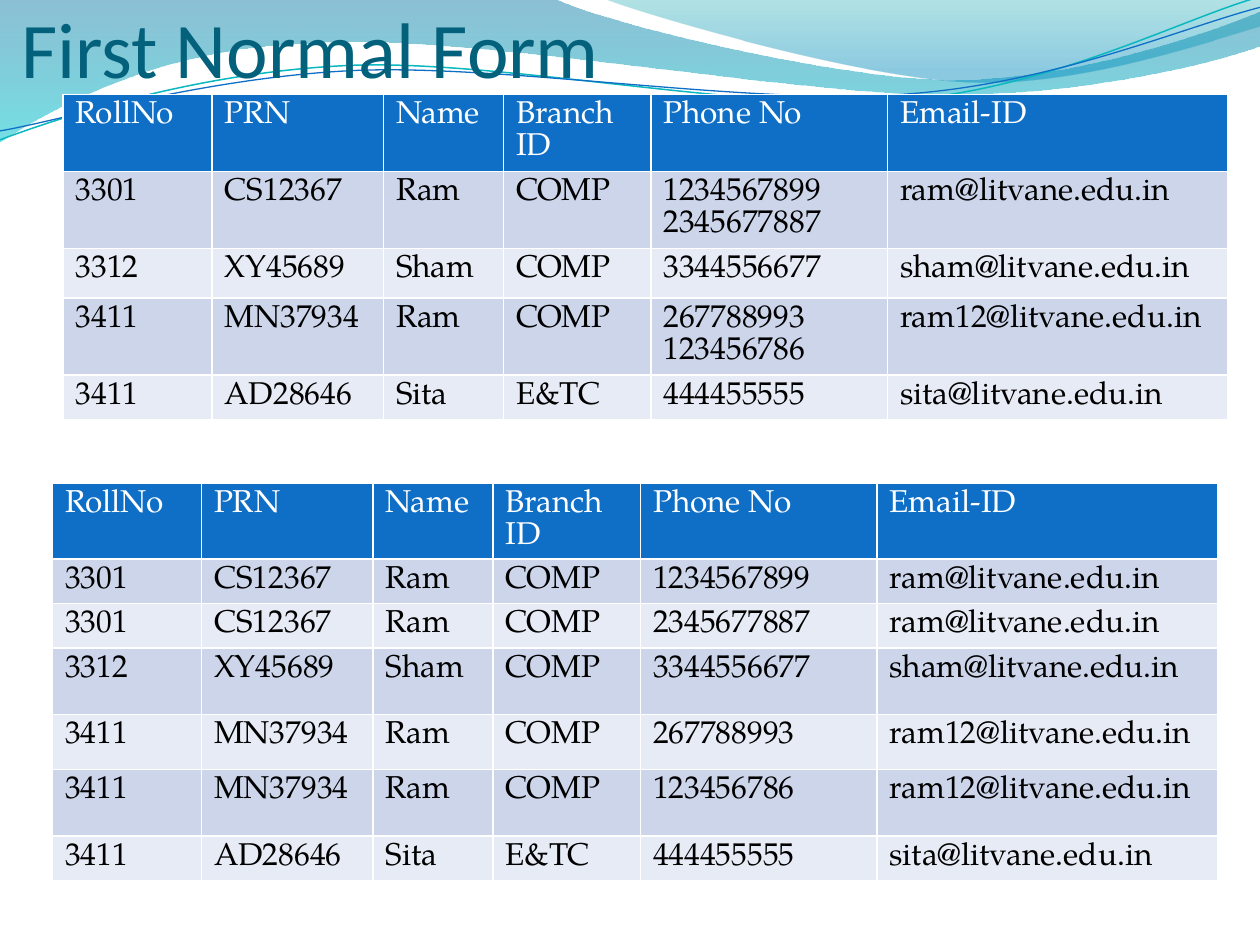
from dataclasses import dataclass

from lxml import etree
from pptx import Presentation
from pptx.dml.color import RGBColor
from pptx.enum import text
from pptx.oxml import ns
from pptx.util import Cm, Pt


@dataclass(frozen=True)
class Theme:
    head: str = "0F6FC6"
    odd: str = "CCD5EA"
    even: str = "E7EBF5"
    white: str = "FFFFFF"
    ink: str = "000000"
    title: str = "04617B"
    teal: str = "0AB8BF"
    title_font: str = "Calibri"
    cell_font: str = "TeX Gyre Pagella"
    title_size: float = 45
    cell_size: float = 18


THEME = Theme()

# Wave outlines in cm: a start, then segments of 2 (line) or 6 (curve) numbers
BROAD = [(0, 0), (11.18, -0.03), (12.09, 0.43, 16.87, 1.6, 19.25, 1.6),
         (21.67, 1.6, 24.33, 0.66, 25.4, 0.23), (25.43, 0.91),
         (24.97, 1.12, 22.1, 1.93, 18.95, 1.9),
         (15.8, 1.9, 9.7, 0.71, 6.53, 0.86),
         (3.28, 0.91, 1.17, 2.11, -0.03, 2.87), (0, 0)]
SMALL = [(12.17, -0.03), (12.93, 0.28, 17.32, 1.57, 19.53, 1.65),
         (21.74, 1.75, 24.41, 0.81, 25.4, 0.53), (25.4, 0), (12.17, -0.03)]
UPPER = [(0, 2.82), (1.22, 2.36, 4.01, 1.45, 7.04, 1.32),
         (10.03, 1.19, 15.06, 2.26, 18.11, 2.03),
         (21.16, 1.8, 23.83, 0.38, 25.35, -0.05)]
LOWER = [(0, 2.64), (1.19, 2.44, 4.17, 1.55, 7.19, 1.42),
         (10.24, 1.3, 15.16, 2.13, 18.21, 1.9),
         (21.23, 1.7, 23.9, 0.53, 25.4, 0.15)]

# Student records; a line break separates several phone numbers
HEADS = ["RollNo", "PRN", "Name", "Branch ID", "Phone No", "Email-ID"]
ROWS = [
    ["3301", "CS12367", "Ram", "COMP", "1234567899\n2345677887", "ram@litvane.edu.in"],
    ["3312", "XY45689", "Sham", "COMP", "3344556677", "sham@litvane.edu.in"],
    ["3411", "MN37934", "Ram", "COMP", "267788993\n123456786", "ram12@litvane.edu.in"],
    ["3411", "AD28646", "Sita", "E&TC", "444455555", "sita@litvane.edu.in"],
]
WIDTHS = [3, 3.46, 2.42, 2.97, 4.77, 6.87]


def rgb(code):
    return RGBColor.from_string(code)


def draw(slide, route, close):
    """Build the outline through all nodes, then bend the curved segments."""
    nodes = [(seg[i] * 1000, seg[i + 1] * 1000)
             for seg in route for i in range(0, len(seg), 2)]
    form = slide.shapes.build_freeform(*nodes[0], scale=Cm(1) / 1000)
    form.add_line_segments(nodes[1:], close=close)
    shape = form.convert_to_shape()
    shape.shadow.inherit = False
    lines = iter(list(shape._element.iter(ns.qn("a:lnTo"))))
    for seg in route[1:]:
        first = next(lines)
        if len(seg) == 6:
            first.tag = ns.qn("a:cubicBezTo")
            for _ in range(2):
                line = next(lines)
                first.append(line[0])
                line.getparent().remove(line)
    return shape


def add_band(slide, route, stops):
    """Closed wave with a see-through gradient from top to bottom."""
    shape = draw(slide, route, True)
    shape.line.fill.background()
    shape.fill.gradient()
    shape.fill.gradient_angle = 270
    for stop, (place, color, _) in zip(shape.fill.gradient_stops, stops):
        stop.position = place
        stop.color.rgb = rgb(color)
    tags = shape._element.iter(ns.qn("a:srgbClr"))
    for tag, (_, _, alpha) in zip(tags, stops):
        etree.SubElement(tag, ns.qn("a:alpha"), val=str(alpha * 1000))


def add_wave(slide, route, color, width):
    shape = draw(slide, route, False)
    shape.fill.background()
    shape.line.color.rgb = rgb(color)
    shape.line.width = Pt(width)


def set_font(font, name, size, color):
    font.name, font.size, font.bold = name, Pt(size), False
    font.color.rgb = rgb(color)


def set_title(slide, words):
    title = slide.shapes.title
    title.left, title.top, title.width, title.height = Cm(0.43), Cm(0.2), Cm(22.86), Cm(1.7)
    frame = title.text_frame
    frame.text = words
    frame.auto_size = text.MSO_AUTO_SIZE.NONE
    frame.vertical_anchor = text.MSO_ANCHOR.BOTTOM
    frame.margin_left = frame.margin_right = frame.margin_bottom = 0
    frame.margin_top = Cm(0.13)
    para = frame.paragraphs[0]
    para.alignment = text.PP_ALIGN.LEFT
    set_font(para.font, THEME.title_font, THEME.title_size, THEME.title)
    # Bring the title in front of the waves
    slide.shapes._spTree.append(title._element)


def fill_cell(cell, words, row):
    cell.text = words
    color = THEME.ink if row else THEME.white
    for para in cell.text_frame.paragraphs:
        set_font(para.font, THEME.cell_font, THEME.cell_size, color)
    cell.fill.solid()
    shade = THEME.odd if row % 2 else THEME.even
    cell.fill.fore_color.rgb = rgb(shade if row else THEME.head)


def add_grid(slide, left, top, heights, rows):
    """Table whose white rules come from the default table style."""
    frame = slide.shapes.add_table(len(rows) + 1, len(HEADS), Cm(left), Cm(top),
                                   Cm(sum(WIDTHS)), Cm(sum(heights)))
    table = frame.table
    for col, width in zip(table.columns, WIDTHS):
        col.width = Cm(width)
    for line, height in zip(table.rows, heights):
        line.height = Cm(height)
    for r, record in enumerate([HEADS, *rows]):
        for c, words in enumerate(record):
            fill_cell(table.cell(r, c), words, r)


def split_phones(rows):
    """First normal form: one row for each phone number."""
    return [[*row[:4], phone, row[5]] for row in rows for phone in row[4].split("\n")]


def main():
    deck = Presentation()
    deck.slide_width, deck.slide_height = Cm(25.4), Cm(19.05)
    slide = deck.slides.add_slide(deck.slide_layouts[5])

    # Wave decoration
    add_band(slide, BROAD, [(0, "0074A1", 45), (1, "00C6CF", 55)])
    add_band(slide, SMALL, [(0, "00A1A9", 30), (0.8, "008BBF", 45)])
    add_wave(slide, UPPER, THEME.teal, 0.85)
    add_wave(slide, LOWER, THEME.head, 0.75)

    set_title(slide, "First Normal Form")

    # Records before and after normalising
    add_grid(slide, 1.27, 1.91, [1.55, 1.55, 1, 1.55, 0.89], ROWS)
    add_grid(slide, 1.06, 9.74, [1.5, 0.84, 0.84, 1.34, 1.11, 1.34, 0.84],
             split_phones(ROWS))

    deck.save("out.pptx")


if __name__ == "__main__":
    main()
